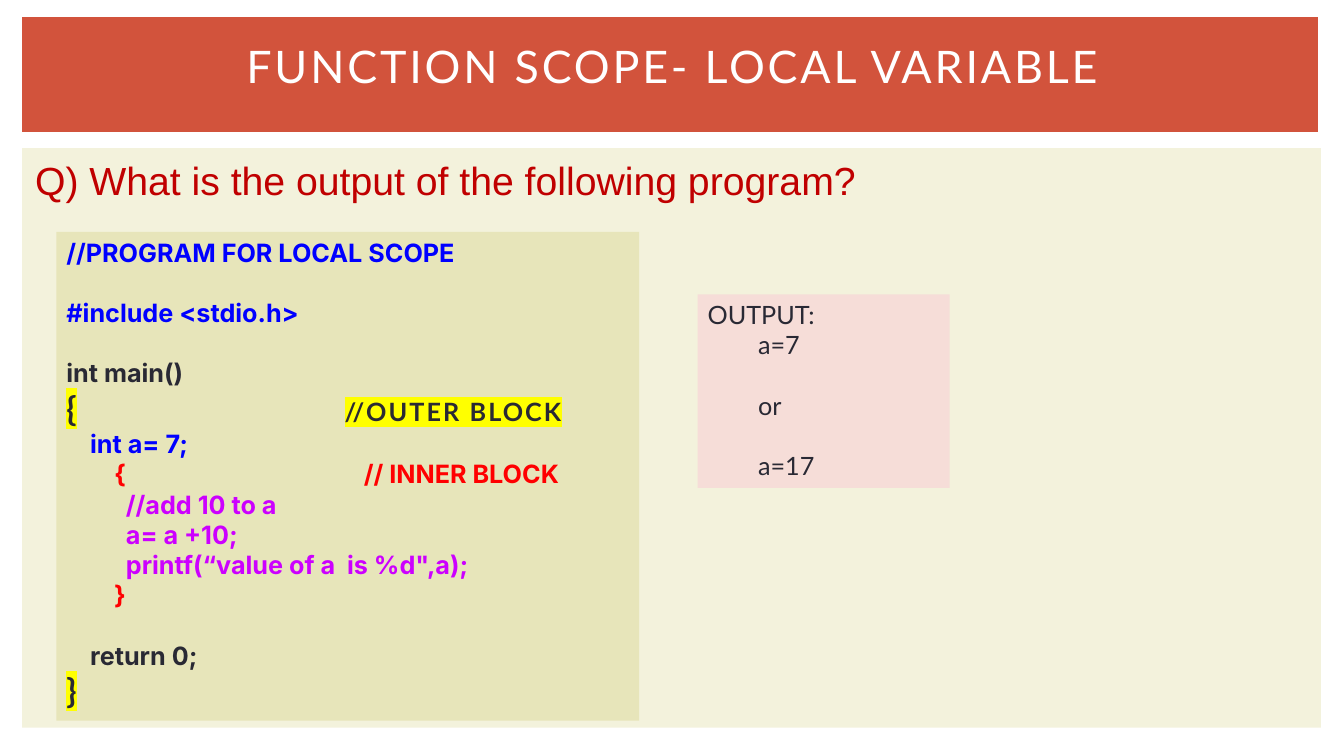
import pptx
import pptx.util
import pptx.oxml
import pptx.dml.color
import pptx.enum.shapes
import pptx.enum.text
from dataclasses import dataclass
from lxml import etree

Inches = pptx.util.Inches
Pt = pptx.util.Pt
Align = pptx.enum.text.PP_ALIGN
Anchor = pptx.enum.text.MSO_ANCHOR
NS = "http://schemas.openxmlformats.org/drawingml/2006/main"


@dataclass(frozen=True)
class Theme:
    """Colours, fonts and type sizes of the slide."""
    page: str = "F3F2DC"
    band: str = "D2533C"
    code: str = "E7E5BA"
    result: str = "F6DDD8"
    white: str = "FFFFFF"
    dark: str = "292934"
    blue: str = "0000FF"
    red: str = "FF0000"
    pink: str = "CC00FF"
    ask: str = "C00000"
    mark: str = "FFFF00"
    lato: str = "Lato"
    inter: str = "Inter"
    arial: str = "Arial"
    head: int = 32
    query: int = 28
    brace: int = 24
    body: int = 18
    blank: float = 21.6


LOOK = Theme()


def paint(slide, box, fill):
    """Add a plain filled rectangle and return its text frame."""
    kind = pptx.enum.shapes.MSO_SHAPE.RECTANGLE
    shape = slide.shapes.add_shape(kind, *map(Inches, box))
    shape.shadow.inherit = False
    shape.fill.solid()
    shape.fill.fore_color.rgb = pptx.dml.color.RGBColor.from_string(fill)
    shape.line.fill.background()
    frame = shape.text_frame
    frame.word_wrap = True
    frame.vertical_anchor = Anchor.TOP
    return frame


def label(slide, box):
    """Add a wrapping text box and return its text frame."""
    frame = slide.shapes.add_textbox(*map(Inches, box)).text_frame
    frame.word_wrap = True
    return frame


def style(para, face, size, color, bold=False, align=Align.LEFT):
    """Set the alignment and font of a paragraph."""
    para.alignment = align
    font = para.font
    font.name, font.bold = face, bold
    if size:
        font.size = Pt(size)
    font.color.rgb = pptx.dml.color.RGBColor.from_string(color)


def track(run, points):
    """Space out the letters of a run."""
    run.font._element.set("spc", str(int(points * 100)))


def mark(run):
    """Space out a run and give it a marker colour."""
    track(run, 1.5)
    light = etree.SubElement(run.font._element, f"{{{NS}}}highlight")
    etree.SubElement(light, f"{{{NS}}}srgbClr", val=LOOK.mark)


def stop(para, pos):
    """Set one left tab stop."""
    tabs = etree.SubElement(para._p.get_or_add_pPr(), f"{{{NS}}}tabLst")
    etree.SubElement(tabs, f"{{{NS}}}tab", pos=str(Inches(pos)), algn="l")


def lines(frame, rows):
    """Yield a paragraph with each row, leaving a blank line where asked."""
    for i, (gap, *row) in enumerate(rows):
        para = frame.add_paragraph() if i else frame.paragraphs[0]
        if gap:
            para.space_before = Pt(LOOK.blank)
        yield para, row


def header(slide, box):
    """Draw the title band."""
    left, top, width, height = box
    paint(slide, box, LOOK.band)
    frame = label(slide, (left + 0.34, top + 0.04, width - 0.63, height - 0.26))
    frame.vertical_anchor = Anchor.MIDDLE
    para = frame.paragraphs[0]
    style(para, LOOK.lato, LOOK.head, LOOK.white, align=Align.CENTER)
    run = para.add_run()
    run.text = "FUNCTION SCOPE- LOCAL VARIABLE"
    track(run, 2)


def program(slide, box):
    """Draw the code listing with its marked outer block."""
    rows = [
        (False, "//PROGRAM FOR LOCAL SCOPE", LOOK.blue),
        (True, "#include <stdio.h>", LOOK.blue),
        (True, "int main()", LOOK.dark),
        (False, "{\t//OUTER BLOCK", LOOK.dark),
        (False, "    int a= 7;", LOOK.blue),
        (False, "        {\t// INNER BLOCK", LOOK.red),
        (False, "          //add 10 to a", LOOK.pink),
        (False, "          a= a +10;", LOOK.pink),
        (False, "          printf(“value of a  is %d\",a);", LOOK.pink),
        (False, "        }", LOOK.red),
        (True, "    return 0;", LOOK.dark),
        (False, "}", LOOK.dark),
    ]
    for para, (text, color) in lines(paint(slide, box, LOOK.code), rows):
        outer = text[0] in "{}"
        if "\t" in text:
            stop(para, 2.76 if outer else 2.95)
        face = LOOK.lato if outer else LOOK.inter
        size = None if outer else LOOK.body
        style(para, face, size, color, True, Align.JUSTIFY)
        if not outer:
            para.add_run().text = text
            continue
        brace, tab, note = text.partition("\t")
        for part, size in ((brace + tab, LOOK.brace), (note, LOOK.body)):
            if part:
                run = para.add_run()
                run.text = part
                run.font.size = Pt(size)
                mark(run)


def result(slide, box):
    """Draw the panel of possible outputs."""
    rows = [(False, "OUTPUT:", 0), (False, "a=7", 1),
            (True, "or", 1), (True, "a=17", 1)]
    for para, (text, level) in lines(paint(slide, box, LOOK.result), rows):
        para.level = level
        props = para._p.get_or_add_pPr()
        props.set("marL", str(Inches(level * 0.5)))
        props.set("indent", "0")
        style(para, LOOK.lato, LOOK.body, LOOK.dark)
        para.add_run().text = text


def content(slide, box):
    """Draw the page panel with the question, code and output."""
    left, top, width, height = box
    paint(slide, box, LOOK.page)
    para = label(slide, (left + 0.03, top + 0.03, width - 0.05, 0.57)).paragraphs[0]
    style(para, LOOK.arial, LOOK.query, LOOK.ask)
    para.add_run().text = "Q) What is the output of the following program?"
    program(slide, (left + 0.34, top + 0.83, 5.78, 4.85))
    result(slide, (left + 6.7, top + 1.45, 2.5, 1.92))


def main():
    """Build and save the slide."""
    deck = pptx.Presentation()
    deck.slide_width, deck.slide_height = Inches(13.33), Inches(7.5)
    slide = deck.slides.add_slide(deck.slide_layouts[6])
    content(slide, (0.22, 1.47, 12.88, 5.75))
    header(slide, (0.22, 0.17, 12.85, 1.14))
    deck.save("out.pptx")


if __name__ == "__main__":
    main()
